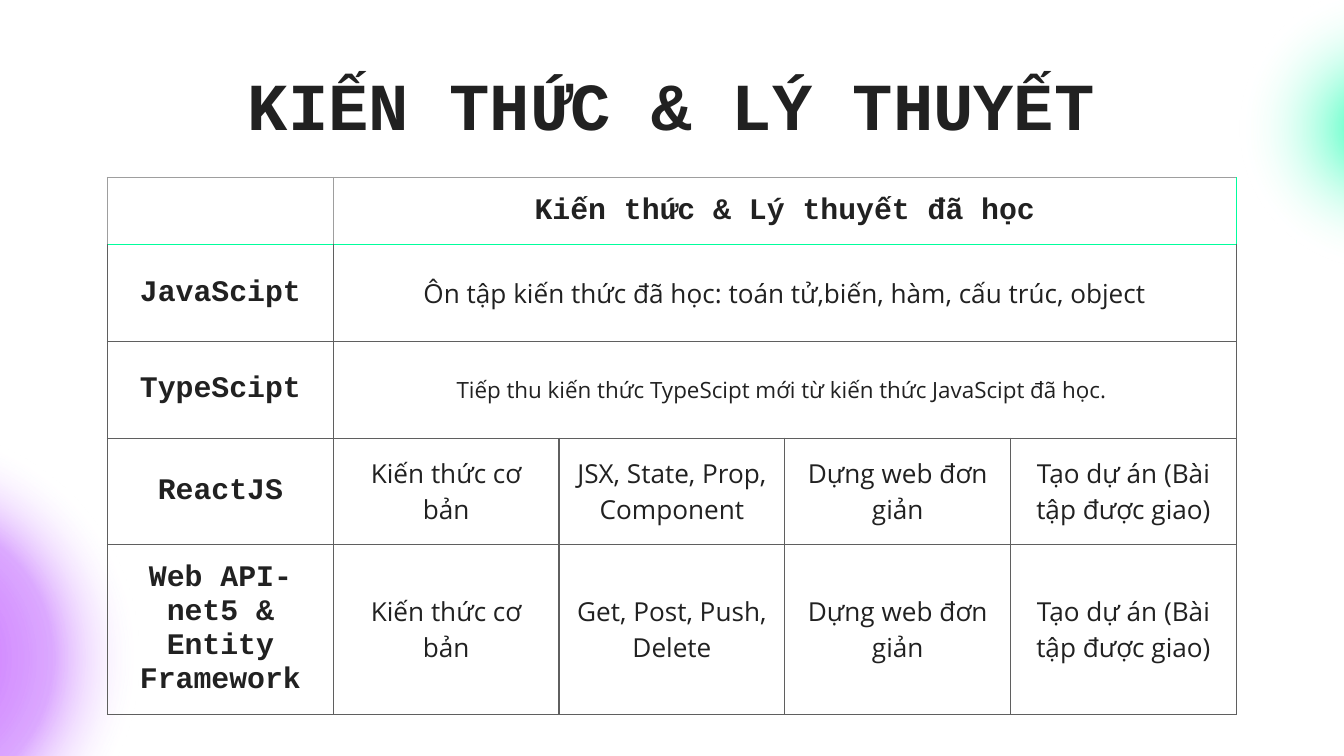
from pptx import Presentation
from pptx.dml.color import RGBColor
from pptx.enum import shapes, text
from pptx.oxml import parse_xml
from pptx.oxml.ns import nsdecls
from pptx.util import Inches, Pt

TITLE = "KIẾN THỨC & LÝ THUYẾT"
BASICS, DEMO, TASK = "Kiến thức cơ bản", "Dựng web đơn giản", "Tạo dự án (Bài tập được giao)"
ROWS = [
    (0.5, 16, "", ["Kiến thức & Lý thuyết đã học"]),
    (0.72, 14, "JavaScipt", ["Ôn tập kiến thức đã học: toán tử,biến, hàm, cấu trúc, object"]),
    (0.72, 12, "TypeScipt", ["Tiếp thu kiến thức TypeScipt mới từ kiến thức JavaScipt đã học. "]),
    (0.79, 14, "ReactJS", [BASICS, "JSX, State, Prop, Component", DEMO, TASK]),
    (0.79, 14, "Web API-net5 & Entity Framework", [BASICS, "Get, Post, Push, Delete", DEMO, TASK]),
]
GLOWS = [
    (-2.68, 2.9, 3.99, [(0, "C95EFF", 100), (38, "BF62FF", 54), (61, "FFFFFF", 0), (100, "FFFFFF", 0)]),
    (8.79, -0.52, 2.95, [(0, "1EFFB2", 100), (50, "FFFFFF", 0), (100, "FFFFFF", 0)]),
]
THEME = {
    "ink": "212121", "line": "5F5F5F", "pale": "9E9E9E", "mint": "00FF9C", "paper": "FFFFFF",
    "head": "Courier New", "body": "Open Sans", "title": 36, "label": 16, "rule": 0.75,
}
COLS, WIDE, HIGH = 5, 1.68, 3.72


def style(frame, words, size, face, bold):
    frame.word_wrap = True
    frame.text = words
    para = frame.paragraphs[0]
    para.alignment = text.PP_ALIGN.CENTER
    for run in para.runs:
        font = run.font
        font.size, font.name, font.bold = Pt(size), face, bold
        font.color.rgb = RGBColor.from_string(THEME["ink"])


def add_glow(slide, left, top, size, stops):
    oval = slide.shapes.add_shape(
        shapes.MSO_SHAPE.OVAL, Inches(left), Inches(top), Inches(size), Inches(size))
    oval.shadow.inherit = False
    oval.line.fill.background()
    oval.fill.background()
    marks = "".join(
        f'<a:gs pos="{pos * 1000}"><a:srgbClr val="{tone}">'
        f'<a:alpha val="{alpha * 1000}"/></a:srgbClr></a:gs>'
        for pos, tone, alpha in stops)
    grad = parse_xml(
        f'<a:gradFill {nsdecls("a")} rotWithShape="1"><a:gsLst>{marks}</a:gsLst>'
        '<a:path path="circle"><a:fillToRect l="50000" t="50000" r="50000" b="50000"/></a:path>'
        '</a:gradFill>')
    props = oval.element.spPr
    props.replace(props.find("{*}noFill"), grad)


def add_edges(cell, tones):
    props = cell._tc.get_or_add_tcPr()
    for side, tone in zip("LRTB", tones):
        props.append(parse_xml(
            f'<a:ln{side} {nsdecls("a")} w="{Pt(THEME["rule"])}"><a:solidFill>'
            f'<a:srgbClr val="{THEME[tone]}"/></a:solidFill></a:ln{side}>'))


def add_grid(slide):
    frame = slide.shapes.add_table(
        len(ROWS), COLS, Inches(0.8), Inches(1.32), Inches(COLS * WIDE), Inches(HIGH))
    grid = frame.table
    grid.first_row = grid.horz_banding = False
    for col in grid.columns:
        col.width = Inches(WIDE)
    for r, (tall, size, label, items) in enumerate(ROWS):
        grid.rows[r].height = Inches(tall)
        for c in range(COLS):
            cell = grid.cell(r, c)
            right = "mint" if c else "pale"
            top = "mint" if r == 1 else "line"
            add_edges(cell, ("line", "line", top, "line") if r else ("pale", right, "pale", "mint"))
            cell.fill.background()
            cell.vertical_anchor = text.MSO_ANCHOR.MIDDLE
            cell.margin_left = cell.margin_right = Inches(0.1)
            cell.margin_top = cell.margin_bottom = Inches(0.1)
        if len(items) == 1:
            grid.cell(r, 1).merge(grid.cell(r, COLS - 1))
        for c, words in enumerate([label] + items):
            if not words:
                continue
            bold = r == 0 or c == 0
            style(grid.cell(r, c).text_frame, words, size if c else THEME["label"],
                  THEME["head" if bold else "body"], bold)
    frame.height = Inches(HIGH)


def main():
    deck = Presentation()
    deck.slide_width, deck.slide_height = Inches(10), Inches(10 * 9 / 16)
    slide = deck.slides.add_slide(deck.slide_layouts[6])
    slide.background.fill.solid()
    slide.background.fill.fore_color.rgb = RGBColor.from_string(THEME["paper"])
    for glow in GLOWS:
        add_glow(slide, *glow)
    frame = slide.shapes.add_textbox(
        Inches(0.77), Inches(0.37), Inches(8.45), Inches(1.03)).text_frame
    frame.margin_left = frame.margin_right = Inches(0.1)
    frame.margin_top = frame.margin_bottom = Inches(0.1)
    style(frame, TITLE, THEME["title"], THEME["head"], True)
    add_grid(slide)
    deck.save("out.pptx")


if __name__ == "__main__":
    main()
